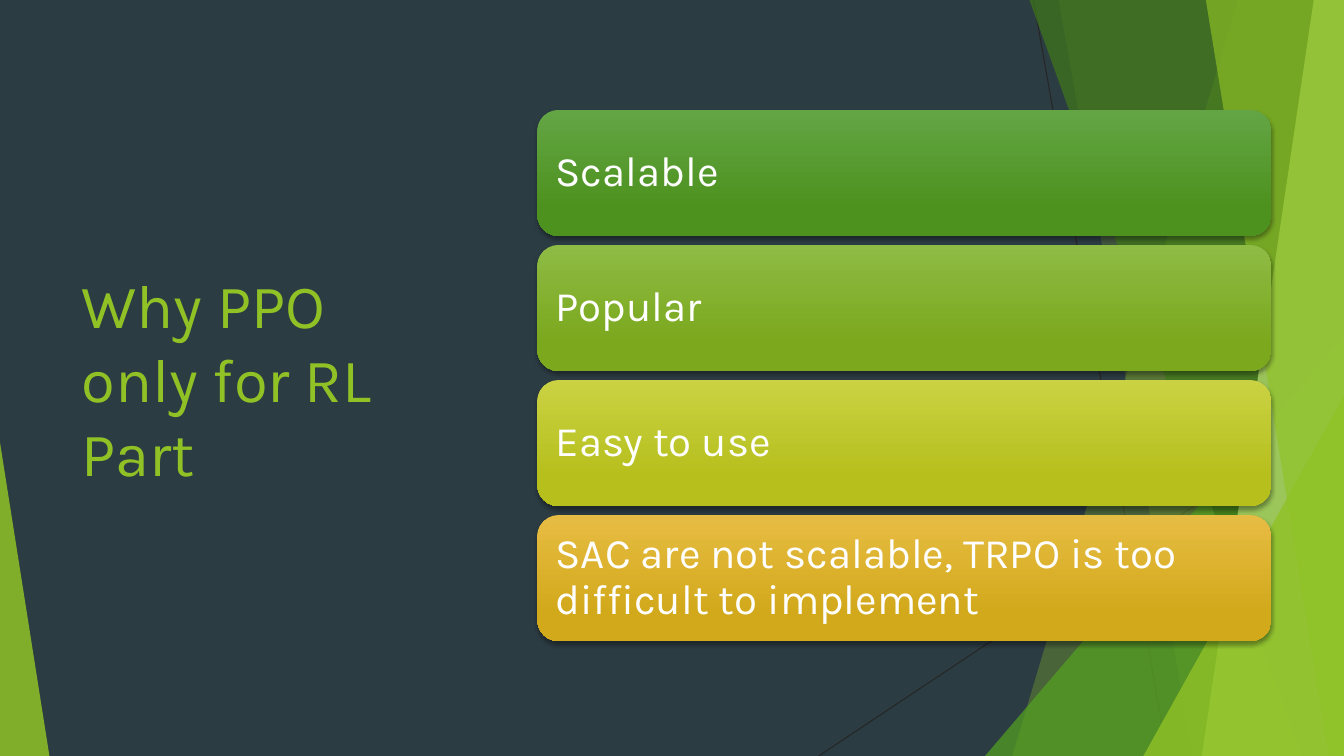
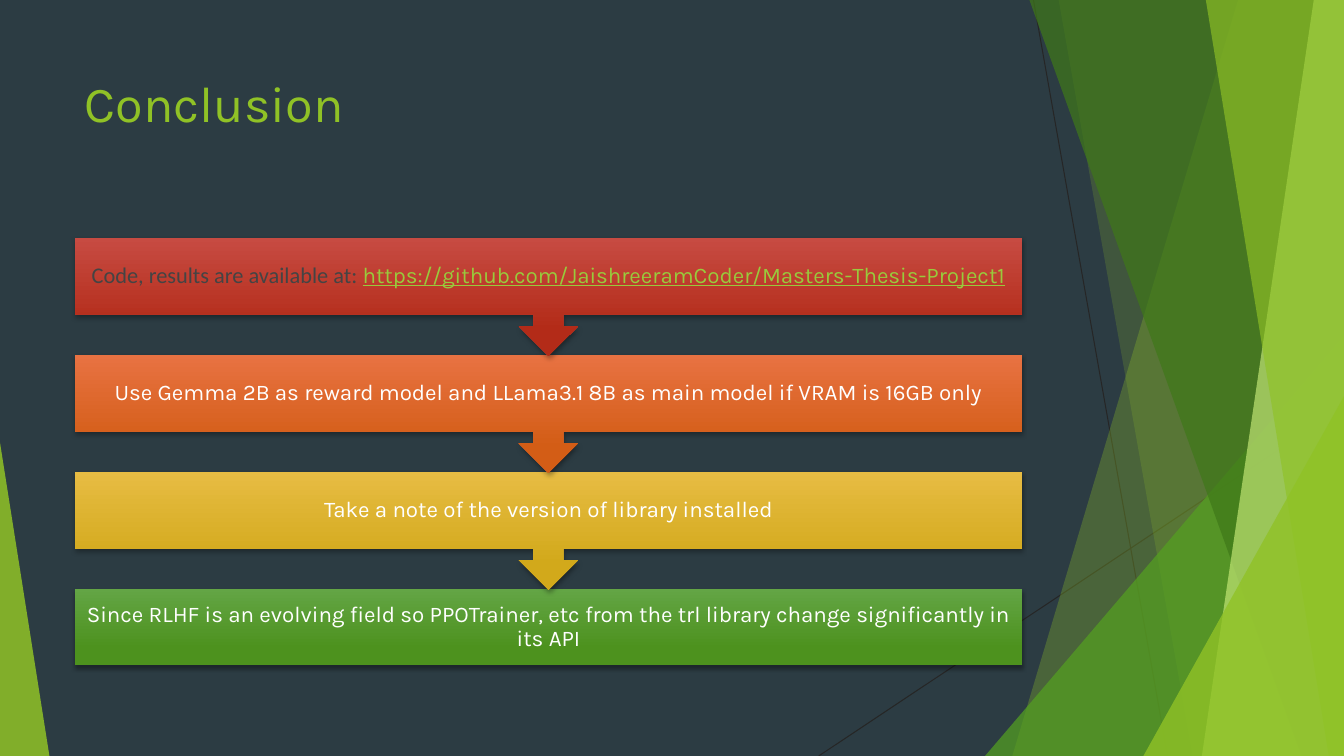
from dataclasses import dataclass

from lxml import etree
from pptx import Presentation
from pptx import util as u
from pptx.dml.color import RGBColor
from pptx.enum import shapes, text
from pptx.oxml import ns


@dataclass(frozen=True)
class Theme:
    """Colours, fonts and type sizes of the deck."""
    background: str = "2C3C43"
    accent: str = "90C226"
    leaf: str = "54A021"
    forest: str = "3F7819"
    lime: str = "C0E474"
    hairline: str = "262626"
    white: str = "FFFFFF"
    muted: str = "444444"
    link: str = "99CA3C"
    green: tuple = ("63A545", "4D921E")
    olive: tuple = ("8EBB44", "7BA81D")
    yellow: tuple = ("CAD243", "B6BF1B")
    gold: tuple = ("E7BC43", "D2A91B")
    orange: tuple = ("E87242", "D35D16")
    red: tuple = ("C74B42", "B32B18")
    font: str = "Karla"
    plain_font: str = "Calibri"
    side_title: int = 44
    top_title: int = 36
    card: int = 30
    step: int = 16


@dataclass(frozen=True)
class Box:
    """A region in inches."""
    left: float
    top: float
    width: float
    height: float

    def emu(self):
        """Return the region as lengths for python-pptx."""
        return [u.Inches(v) for v in (self.left, self.top, self.width, self.height)]


THEME = Theme()
PAGE = Box(0, 0, 13.33, 7.5)


def sub(parent, tag, **attributes):
    """Add one XML child with the given attributes."""
    child = etree.SubElement(parent, ns.qn(tag))
    for key, value in attributes.items():
        child.set(key, str(value))
    return child


def tint(facet, colour, opacity):
    """Fill a facet with a see-through colour and no outline."""
    facet.fill.solid()
    facet.fill.fore_color.rgb = RGBColor.from_string(colour)
    facet.line.fill.background()
    facet.shadow.inherit = False
    srgb = facet.element.xpath("./p:spPr/a:solidFill/a:srgbClr")[0]
    sub(srgb, "a:alpha", val=opacity * 1000)
    return facet


def hairline(slide, start, end):
    """Draw a thin straight line."""
    ends = [u.Inches(v) for v in start + end]
    line = slide.shapes.add_connector(shapes.MSO_CONNECTOR.STRAIGHT, *ends)
    line.line.color.rgb = RGBColor.from_string(THEME.hairline)
    line.line.width = u.Pt(0.75)
    sub(line.element.spPr, "a:effectLst")
    return line


def ribbon(slide, top_x, bottom_x, colour, opacity):
    """Draw a full-height facet that ends at the right edge of the page."""
    corners = [(PAGE.width, 0), (PAGE.width, PAGE.height), (bottom_x, PAGE.height)]
    outline = slide.shapes.build_freeform(u.Inches(top_x), 0, scale=1.0)
    outline.add_line_segments([(u.Inches(x), u.Inches(y)) for x, y in corners])
    return tint(outline.convert_to_shape(), colour, opacity)


def corner(slide, width, height, on_right, colour, opacity):
    """Draw a right triangle that fills a bottom corner of the page."""
    left = PAGE.width - width if on_right else 0
    box = Box(left, PAGE.height - height, width, height)
    facet = slide.shapes.add_shape(shapes.MSO_SHAPE.ISOSCELES_TRIANGLE, *box.emu())
    facet.adjustments[0] = 1 if on_right else 0
    return tint(facet, colour, opacity)


def decorate(layout, slide):
    """Draw the facets and move them to the layout that all slides share."""
    t = THEME
    facets = [
        hairline(slide, (10.25, 0), (11.58, 7.5)),
        hairline(slide, (13.33, 4.03), (8.12, 7.5)),
        ribbon(slide, 12.28, 10.04, t.accent, 30),
        ribbon(slide, 10.5, 11.83, t.accent, 20),
        corner(slide, 3.56, 4.17, True, t.leaf, 72),
        ribbon(slide, 10.21, 12.91, t.forest, 70),
        ribbon(slide, 13.03, 11.92, t.lime, 70),
        ribbon(slide, 11.96, 13.18, t.accent, 65),
        corner(slide, 1.99, 3.57, True, t.accent, 80),
        corner(slide, 0.49, 3.11, False, t.accent, 85),
    ]
    for number, facet in enumerate(facets, start=100):
        facet.element.xpath("./*/p:cNvPr")[0].set("id", str(number))
        layout.shapes.element.append(facet.element)


def add_run(paragraph, words, size, colour, font=THEME.font, underline=None):
    """Add one formatted run."""
    run = paragraph.add_run()
    run.text = words
    run.font.name = font
    run.font.size = u.Pt(size)
    run.font.color.rgb = RGBColor.from_string(colour)
    run.font.underline = underline


def set_title(slide, words, box, size, anchor):
    """Move and format the title placeholder."""
    title = slide.shapes.title
    title.left, title.top, title.width, title.height = box.emu()
    frame = title.text_frame
    frame.auto_size = text.MSO_AUTO_SIZE.NONE
    frame.word_wrap = True
    frame.vertical_anchor = anchor
    frame.paragraphs[0].alignment = text.PP_ALIGN.LEFT
    add_run(frame.paragraphs[0], words, size, THEME.accent)


def panel(slide, kind, box, shades, align):
    """Draw a shaded panel and return its empty paragraph."""
    block = slide.shapes.add_shape(kind, *box.emu())
    block.fill.gradient()
    block.fill.gradient_angle = 270
    for stop, position, shade in zip(block.fill.gradient_stops, (0, 0.78), shades):
        stop.position = position
        stop.color.rgb = RGBColor.from_string(shade)
    block.line.fill.background()
    block.shadow.inherit = False
    effects = block.element.spPr.find(ns.qn("a:effectLst"))
    shadow = sub(effects, "a:outerShdw", blurRad=u.Pt(3), dist=u.Pt(2),
                 dir=5400000, algn="ctr", rotWithShape=0)
    sub(sub(shadow, "a:srgbClr", val="000000"), "a:alpha", val=35000)
    frame = block.text_frame
    frame.word_wrap = True
    frame.vertical_anchor = text.MSO_ANCHOR.MIDDLE
    frame.margin_left = frame.margin_right = u.Inches(0.12)
    frame.margin_top = frame.margin_bottom = u.Inches(0.12)
    paragraph = frame.paragraphs[0]
    paragraph.alignment = align
    paragraph.line_spacing = 0.9
    return paragraph


def card_list(slide, box, cards, gap=0.09):
    """Stack equal rounded cards in a box."""
    height = (box.height - gap * (len(cards) - 1)) / len(cards)
    for row, (words, shades) in enumerate(cards):
        place = Box(box.left, box.top + row * (height + gap), box.width, height)
        paragraph = panel(slide, shapes.MSO_SHAPE.ROUNDED_RECTANGLE, place, shades,
                          text.PP_ALIGN.LEFT)
        add_run(paragraph, words, THEME.card, THEME.white)


def step_flow(slide, box, steps, bar=0.76):
    """Stack bars in a box, each pointing down to the next."""
    pitch = (box.height - bar) / (len(steps) - 1)
    last = len(steps) - 1
    for row, (runs, shades) in reversed(list(enumerate(steps))):
        kind = shapes.MSO_SHAPE.DOWN_ARROW_CALLOUT
        height = pitch + 0.01
        if row == last:
            kind, height = shapes.MSO_SHAPE.RECTANGLE, bar
        place = Box(box.left, box.top + row * pitch, box.width, height)
        paragraph = panel(slide, kind, place, shades, text.PP_ALIGN.CENTER)
        for words, style in runs:
            add_run(paragraph, words, THEME.step, **style)


def reasons_slide(slide):
    """Fill the slide on the choice of PPO."""
    set_title(slide, "Why PPO only for RL Part", Box(0.71, 1.51, 3.88, 4.48),
              THEME.side_title, text.MSO_ANCHOR.MIDDLE)
    card_list(slide, Box(5.33, 1.09, 7.28, 5.27), [
        ("Scalable", THEME.green),
        ("Popular", THEME.olive),
        ("Easy to use", THEME.yellow),
        ("SAC are not scalable, TRPO is too difficult to implement", THEME.gold),
    ])


def conclusion_slide(slide):
    """Fill the closing slide."""
    set_title(slide, "Conclusion", Box(0.74, 0.67, 9.4, 1.44),
              THEME.top_title, text.MSO_ANCHOR.TOP)
    body = {"colour": THEME.white}
    lead = {"colour": THEME.muted, "font": THEME.plain_font}
    address = {"colour": THEME.link, "underline": True}
    step_flow(slide, Box(0.74, 2.36, 9.4, 4.24), [
        ([("Code, results are available at: ", lead),
          ("https://github.com/JaishreeramCoder/Masters-Thesis-Project1", address)],
         THEME.red),
        ([("Use Gemma 2B as reward model and LLama3.1 8B as main model "
           "if VRAM is 16GB only", body)], THEME.orange),
        ([("Take a note of the version of library installed", body)], THEME.gold),
        ([("Since RLHF is an evolving field so PPOTrainer, etc from the trl library "
           "change significantly in its API", body)], THEME.green),
    ])


def main():
    """Build and save the deck."""
    deck = Presentation()
    deck.slide_width, deck.slide_height = u.Inches(PAGE.width), u.Inches(PAGE.height)
    backdrop = deck.slide_master.background.fill
    backdrop.solid()
    backdrop.fore_color.rgb = RGBColor.from_string(THEME.background)
    title_only = deck.slide_layouts[5]
    reasons = deck.slides.add_slide(title_only)
    decorate(title_only, reasons)
    reasons_slide(reasons)
    conclusion_slide(deck.slides.add_slide(title_only))
    deck.save("out.pptx")


if __name__ == "__main__":
    main()
